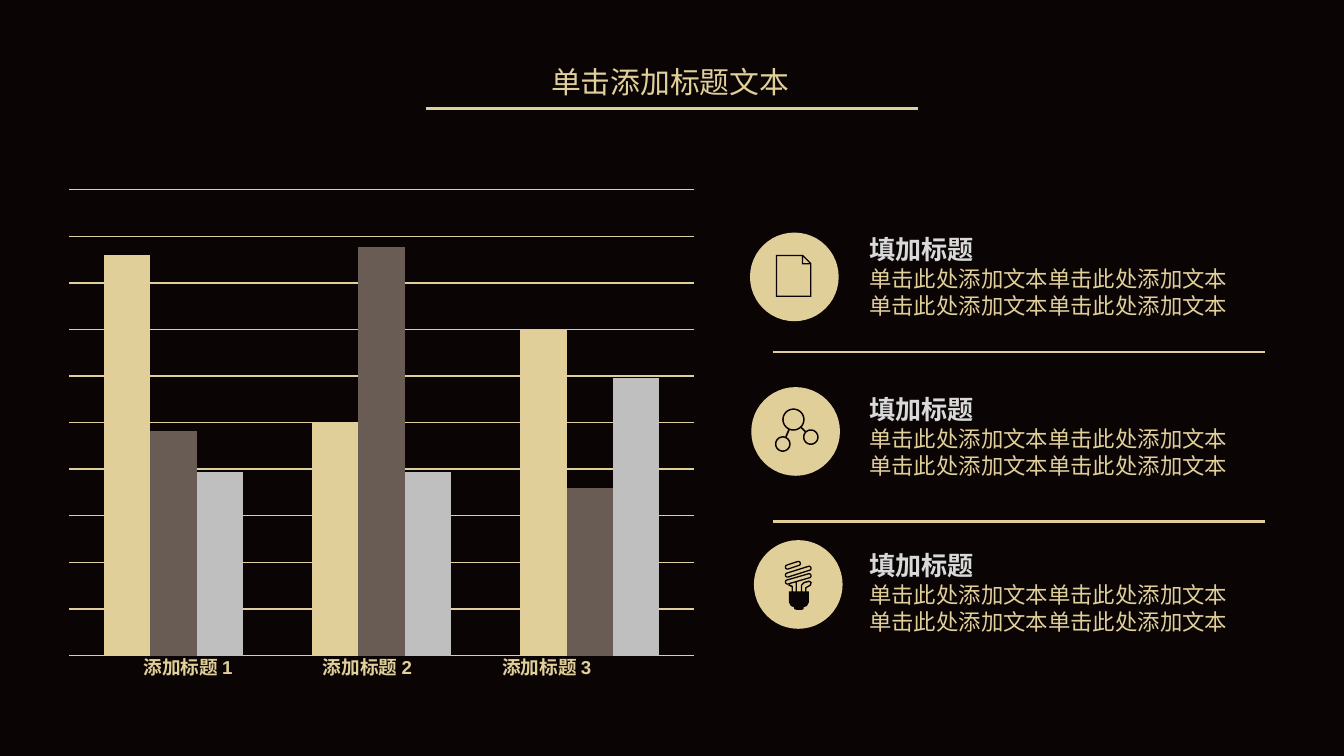
from math import atan2, cos, pi, sin

from lxml import etree
from pptx import Presentation
from pptx.chart.data import CategoryChartData
from pptx.dml.color import RGBColor
from pptx.enum.chart import XL_CHART_TYPE as ChartType
from pptx.enum.shapes import MSO_CONNECTOR as Connector, MSO_SHAPE as Shape
from pptx.enum.text import MSO_ANCHOR as Anchor, MSO_AUTO_SIZE as AutoSize, PP_ALIGN as Align
from pptx.oxml import parse_xml
from pptx.oxml.ns import nsdecls, qn
from pptx.util import Pt

GOLD, DARK, BROWN, SILVER, PALE = "E1CF9A", "0A0404", "695C54", "BFBFBF", "D9D9D9"
CJK = "Noto Sans CJK SC"


def paint(color_format, color):
    color_format.rgb = RGBColor.from_string(color)


def capsule(x1, y1, x2, y2, radius):
    start = atan2(y2 - y1, x2 - x1) - pi / 2
    points = []
    for step in range(32):
        x, y = (x2, y2) if step < 16 else (x1, y1)
        angle = start + step * pi / 16
        points.append((x + radius * cos(angle), y + radius * sin(angle)))
    return points


presentation = Presentation()
presentation.slide_width, presentation.slide_height = Pt(720), Pt(405)
slide = presentation.slides.add_slide(presentation.slide_layouts[5])
shapes = slide.shapes
slide.background.fill.solid()
paint(slide.background.fill.fore_color, DARK)

title = shapes.title
title.left, title.top, title.width, title.height = Pt(288), Pt(20.9), Pt(144), Pt(33)
title.text_frame.text = "单击添加标题文本"
title.text_frame.vertical_anchor = Anchor.TOP
title.text_frame.auto_size = AutoSize.NONE
paragraph = title.text_frame.paragraphs[0]
paragraph.alignment = Align.JUSTIFY
paragraph.line_spacing = 1.5
paragraph.font.size, paragraph.font.name = Pt(16), CJK
paint(paragraph.font.color, GOLD)

chart_data = CategoryChartData()
chart_data.categories = ["1", "2", "3"]
chart_data.add_series("Series 1", (98, 57, 80))
chart_data.add_series("Series 2", (55, 100, 41))
chart_data.add_series("Series 3", (45, 45, 68))
chart = shapes.add_chart(ChartType.COLUMN_CLUSTERED, Pt(30.2), Pt(96.5), Pt(348.5), Pt(260), chart_data).chart
chart.has_legend = chart.has_title = False
chart.font.size, chart.font.name = Pt(10), "Calibri"
chart.category_axis.visible = chart.value_axis.visible = False
chart.value_axis.minimum_scale, chart.value_axis.maximum_scale = 0, 114
chart.value_axis.major_unit = 11.4
gridline = chart.value_axis.major_gridlines.format.line
gridline.width = Pt(0.75)
paint(gridline.color, GOLD)
plot = chart.plots[0]
plot.gap_width, plot.overlap, plot.vary_by_categories = 150, 0, False
for series, color in zip(plot.series, (GOLD, BROWN, SILVER)):
    series.format.fill.solid()
    paint(series.format.fill.fore_color, color)
plot_area = chart._chartSpace.chart.plotArea
for old_layout in plot_area.findall(qn("c:layout")):
    plot_area.remove(old_layout)
layout = parse_xml(
    f'<c:layout {nsdecls("c")}><c:manualLayout><c:layoutTarget val="inner"/>'
    '<c:xMode val="edge"/><c:yMode val="edge"/><c:x val="0.02"/><c:y val="0.02"/>'
    '<c:w val="0.96"/><c:h val="0.96"/></c:manualLayout></c:layout>')
plot_area.insert(0, layout)

for index in range(3):
    label = shapes.add_textbox(Pt(66.2 + 96.1 * index), Pt(347.8), Pt(69.1), Pt(19.4))
    label.text_frame.word_wrap = False
    label.text_frame.text = f"添加标题 {index + 1}"
    paragraph = label.text_frame.paragraphs[0]
    paragraph.alignment = Align.CENTER
    paragraph.font.size, paragraph.font.name, paragraph.font.bold = Pt(10), "Arial", True
    paint(paragraph.font.color, GOLD)

page = [
    [(13.9, 12), (28.5, 12), (32.9, 16.4), (32.9, 34.5), (13.9, 34.5)],
    [(14.6, 12.7), (27.8, 12.7), (27.8, 17.1), (32.2, 17.1), (32.2, 33.8), (14.6, 33.8)],
    [(28.5, 13), (31.9, 16.4), (28.5, 16.4)],
]
network = [
    [(19.8, 22.7), (20.6, 23.1), (19, 26.8), (18.2, 26.4)],
    [(27.1, 21.4), (29.3, 23.5), (28.7, 24.1), (26.5, 22)],
]
for x, y, radius in ((22.6, 17.4, 6), (31.9, 26.8, 4.2), (16.9, 30.5, 4.2)):
    network += [capsule(x, y, x, y, radius), capsule(x, y, x, y, radius - 0.8)]
bulb = [
    [(18.7, 27.4), (29.5, 27.4), (29.5, 33.2), (28.4, 35.3), (26.6, 36), (26.6, 36.9),
     (25.6, 37.4), (23, 37.4), (21.6, 36.9), (21.6, 36), (19.8, 35.3), (18.7, 33.2)],
    [(20.2, 27.4), (20.2, 25.2), (18, 24), (18.3, 23.3), (20.9, 24.6), (20.9, 27.4)],
    [(22.3, 27.4), (22.3, 22.8), (23, 22.6), (23, 27.4)],
    [(25.2, 27.4), (25.2, 24), (26.6, 22.4), (29.6, 21.6), (31, 22.5), (30.6, 24.3),
     (28.1, 25.8), (28.1, 27.4), (27.4, 27.4), (27.4, 25.4), (30, 23.8), (30.2, 22.8),
     (29.6, 22.4), (27, 23.1), (25.9, 24.2), (25.9, 27.4)],
]
for tube in ((18, 14.4, 23.8, 12.5), (18, 18.7, 29.5, 15.1), (18, 22.4, 29.5, 19.1)):
    bulb += [capsule(*tube, 1.45), capsule(*tube, 0.75)]

items = (
    (401.8, 124.6, 121.7, page),
    (402.5, 207.4, 207.4, network),
    (403.9, 289.4, 290.9, bulb),
)
for left, top, text_top, icon in items:
    text_box = shapes.add_textbox(Pt(458.6), Pt(text_top), Pt(218.9), Pt(53.3))
    text_box.text_frame.word_wrap = True
    text_box.text_frame.text = "填加标题" + "\n单击此处添加文本单击此处添加文本" * 2
    for index, paragraph in enumerate(text_box.text_frame.paragraphs):
        heading = index == 0
        paragraph.font.name, paragraph.font.bold = CJK, heading
        paragraph.font.size = Pt(14 if heading else 12)
        paint(paragraph.font.color, PALE if heading else GOLD)

    group = shapes.add_group_shape()
    for inset, diameter in ((0, 47.5), (5.75, 36)):
        disc = group.shapes.add_shape(Shape.OVAL, Pt(left + inset), Pt(top + inset), Pt(diameter), Pt(diameter))
        disc.shadow.inherit = False
        disc.fill.solid()
        paint(disc.fill.fore_color, GOLD)
        disc.line.fill.background()
    builder = None
    for contour in icon:
        points = [(Pt(left + x), Pt(top + y)) for x, y in contour]
        if builder is None:
            builder = group.shapes.build_freeform(*points[0], scale=1.0)
        else:
            builder.move_to(*points[0])
        builder.add_line_segments(points[1:], close=True)
    symbol = builder.convert_to_shape()
    symbol.shadow.inherit = False
    symbol.fill.solid()
    paint(symbol.fill.fore_color, DARK)
    symbol.line.fill.background()

for left, top in ((228.2, 58.3), (414, 188.6), (414, 279.4)):
    rule = shapes.add_connector(Connector.STRAIGHT, Pt(left), Pt(top), Pt(left + 263.5), Pt(top))
    rule.line.width = Pt(1.5)
    paint(rule.line.color, GOLD)
    etree.SubElement(rule._element.spPr, qn("a:effectLst"))

presentation.save("out.pptx")
